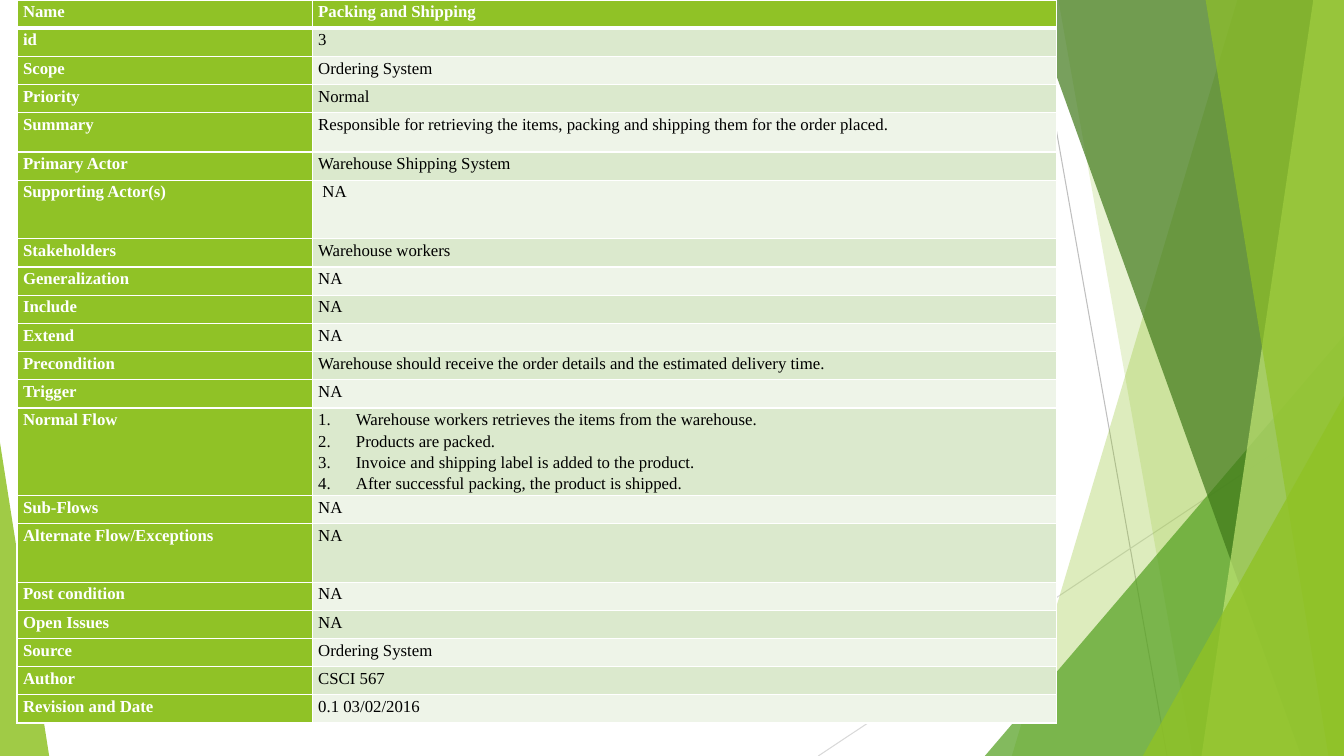
from lxml import etree
from pptx import Presentation
from pptx.dml.color import RGBColor
from pptx.enum.shapes import MSO_CONNECTOR, MSO_SHAPE
from pptx.oxml.ns import qn
from pptx.util import Cm, Pt

STRAIGHT = MSO_CONNECTOR.STRAIGHT
TRIANGLE = MSO_SHAPE.ISOSCELES_TRIANGLE

COLORS = {
    "lime": "90C226", "green": "54A021", "forest": "3F7819", "pale": "C0E474",
    "white": "FFFFFF", "black": "000000", "band": "DBE9CD", "light_band": "EEF4E8",
    "gray": "BFBFBF", "light_gray": "D9D9D9",
}
FONT = "Times New Roman"
WIDTH, HEIGHT = 33.87, 19.05
BLEED = 0.02
ROW_HEIGHT = 0.71
TALL_ROWS = {"Summary": 0.99, "Supporting Actor(s)": 1.48, "Normal Flow": 2.2,
             "Alternate Flow/Exceptions": 1.48}
USE_CASE = [
    ("Name", "Packing and Shipping"),
    ("id", "3"),
    ("Scope", "Ordering System"),
    ("Priority", "Normal"),
    ("Summary", "Responsible for retrieving the items, packing and shipping them "
                "for the order placed."),
    ("Primary Actor", "Warehouse Shipping System"),
    ("Supporting Actor(s)", "\u00a0NA"),
    ("Stakeholders", "Warehouse workers"),
    ("Generalization", "NA"),
    ("Include", "NA"),
    ("Extend", "NA"),
    ("Precondition", "Warehouse should receive the order details and the estimated "
                     "delivery time."),
    ("Trigger", "NA"),
    ("Normal Flow", ["Warehouse workers retrieves the items from the warehouse.",
                     "Products are packed.",
                     "Invoice and shipping label is added to the product.",
                     "After successful packing, the product is shipped."]),
    ("Sub-Flows", "NA"),
    ("Alternate Flow/Exceptions", "NA"),
    ("Post condition", "NA"),
    ("Open Issues", "NA"),
    ("Source", "Ordering System"),
    ("Author", "CSCI 567"),
    ("Revision and Date", "0.1 03/02/2016"),
]


def rgb(name):
    """Return the named colour."""
    return RGBColor.from_string(COLORS[name])


def paint(shape, color, opacity):
    """Give a facet a see-through fill without line or shadow."""
    shape.shadow.inherit = False
    shape.line.fill.background()
    shape.fill.solid()
    shape.fill.fore_color.rgb = rgb(color)
    color_element = shape.fill._xPr.find(qn("a:solidFill"))[0]
    etree.SubElement(color_element, qn("a:alpha"), val=str(opacity * 1000))


def add_ray(slide, start, end, color):
    """Draw a thin straight line between two points."""
    points = [Cm(value) for value in (*start, *end)]
    connector = slide.shapes.add_connector(STRAIGHT, *points)
    connector.line.color.rgb = rgb(color)
    connector.line.width = Pt(0.75)
    etree.SubElement(connector._element.spPr, qn("a:effectLst"))


def add_slab(slide, box, top_x, bottom_x, color, opacity):
    """Fill the box from a slanted left edge to its right side."""
    left, top, width, height = box
    right, bottom = left + width, top + height
    corners = [(left + top_x, top - BLEED), (right, top - BLEED),
               (right, bottom), (left + bottom_x, bottom)]
    points = [(Cm(x), Cm(y)) for x, y in corners]
    builder = slide.shapes.build_freeform(*points[0], scale=1.0)
    builder.add_line_segments(points[1:], close=True)
    paint(builder.convert_to_shape(), color, opacity)


def add_corner(slide, box, x, y, width, apex, color, opacity):
    """Stand a right triangle on the bottom of the box."""
    left, top, _, height = box
    shape = slide.shapes.add_shape(TRIANGLE, Cm(left + x), Cm(top + y),
                                   Cm(width), Cm(height - y))
    shape.adjustments[0] = apex
    paint(shape, color, opacity)


def add_backdrop(slide, box):
    """Layer the rays and green facets from back to front."""
    left, top, width, height = box
    right, bottom = left + width, top + height
    add_ray(slide, (left + 26.04, top), (left + 29.41, bottom), "gray")
    add_ray(slide, (right, top + 10.24), (left + 20.62, bottom), "light_gray")
    add_slab(slide, box, 31.19, 25.5, "lime", 30)
    add_slab(slide, box, 26.67, 30.05, "lime", 20)
    add_corner(slide, box, 24.82, 8.46, width - 24.82, 1, "green", 72)
    add_slab(slide, box, 25.93, 32.79, "forest", 70)
    add_slab(slide, box, 33.1, 30.28, "pale", 70)
    add_slab(slide, box, 30.38, 33.48, "lime", 65)
    add_corner(slide, box, 28.8, 9.98, width - 28.8, 1, "lime", 80)
    add_corner(slide, box, 0, 11.15, 1.24, 0, "lime", 85)


def add_borders(cell, top, bottom):
    """Draw white cell borders; top and bottom are widths in points."""
    properties = cell._tc.get_or_add_tcPr()
    for side, width in (("L", 1), ("R", 1), ("T", top), ("B", bottom)):
        line = etree.SubElement(properties, qn("a:ln" + side), w=str(Pt(width)))
        fill = etree.SubElement(line, qn("a:solidFill"))
        etree.SubElement(fill, qn("a:srgbClr"), val=COLORS["white"])


def number_paragraph(paragraph):
    """Turn a paragraph into a numbered step with a hanging indent."""
    properties = paragraph._p.get_or_add_pPr()
    properties.set("marL", str(Cm(0.95)))
    properties.set("indent", str(-Cm(0.95)))
    etree.SubElement(properties, qn("a:buFont"), typeface="+mj-lt")
    etree.SubElement(properties, qn("a:buAutoNum"), type="arabicPeriod")


def fill_cell(cell, content, fill, heading):
    """Write a cell; a list becomes numbered steps."""
    cell.margin_left = cell.margin_right = Cm(0.15)
    cell.margin_top = cell.margin_bottom = 0
    cell.fill.solid()
    cell.fill.fore_color.rgb = rgb(fill)
    numbered = isinstance(content, list)
    cell.text_frame.text = "\n".join(content) if numbered else content
    for paragraph in cell.text_frame.paragraphs:
        paragraph.line_spacing = 1.15
        if numbered:
            number_paragraph(paragraph)
        font = paragraph.runs[0].font
        font.name, font.size, font.bold = FONT, Pt(12), heading
        font.color.rgb = rgb("white" if heading else "black")


def add_use_case_table(slide, box):
    """Build the use case table with a label column and banded values."""
    left, top, width, height = box
    table = slide.shapes.add_table(len(USE_CASE), 2, Cm(left), Cm(top),
                                   Cm(width), Cm(height)).table
    label_width = 7.44
    table.columns[0].width = Cm(label_width)
    table.columns[1].width = Cm(width - label_width)
    for index, entry in enumerate(USE_CASE):
        table.rows[index].height = Cm(TALL_ROWS.get(entry[0], ROW_HEIGHT))
        band = "band" if index % 2 else "light_band"
        for column, content in enumerate(entry):
            heading = index == 0 or column == 0
            cell = table.cell(index, column)
            add_borders(cell, 3 if index == 1 else 1, 3 if index == 0 else 1)
            fill_cell(cell, content, "lime" if heading else band, heading)


def main():
    """Create and save the presentation."""
    presentation = Presentation()
    presentation.slide_width, presentation.slide_height = Cm(WIDTH), Cm(HEIGHT)
    slide = presentation.slides.add_slide(presentation.slide_layouts[6])
    add_backdrop(slide, (0, 0, WIDTH, HEIGHT))
    add_use_case_table(slide, (0.43, 0, 26.19, 18.22))
    presentation.save("out.pptx")


main()
